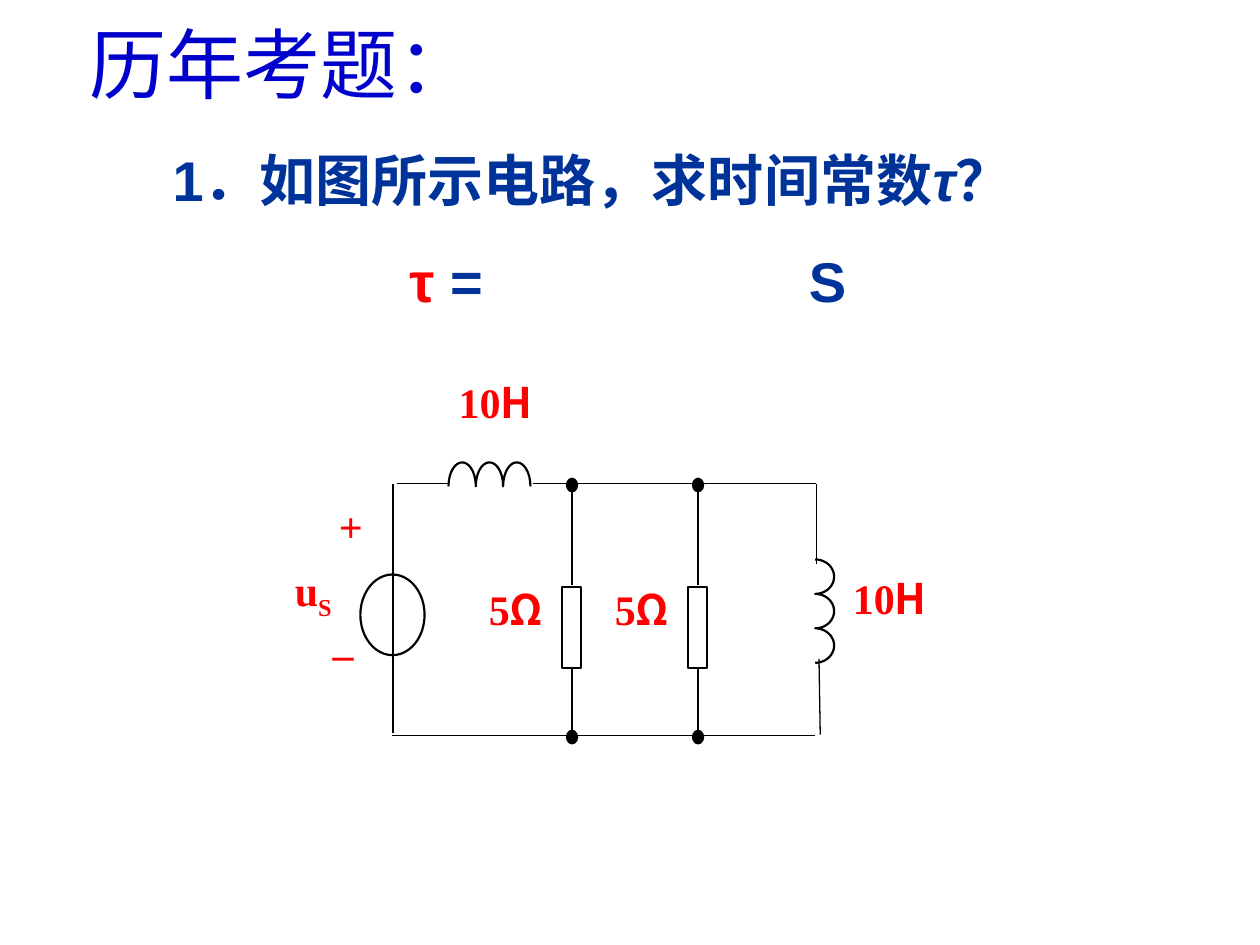
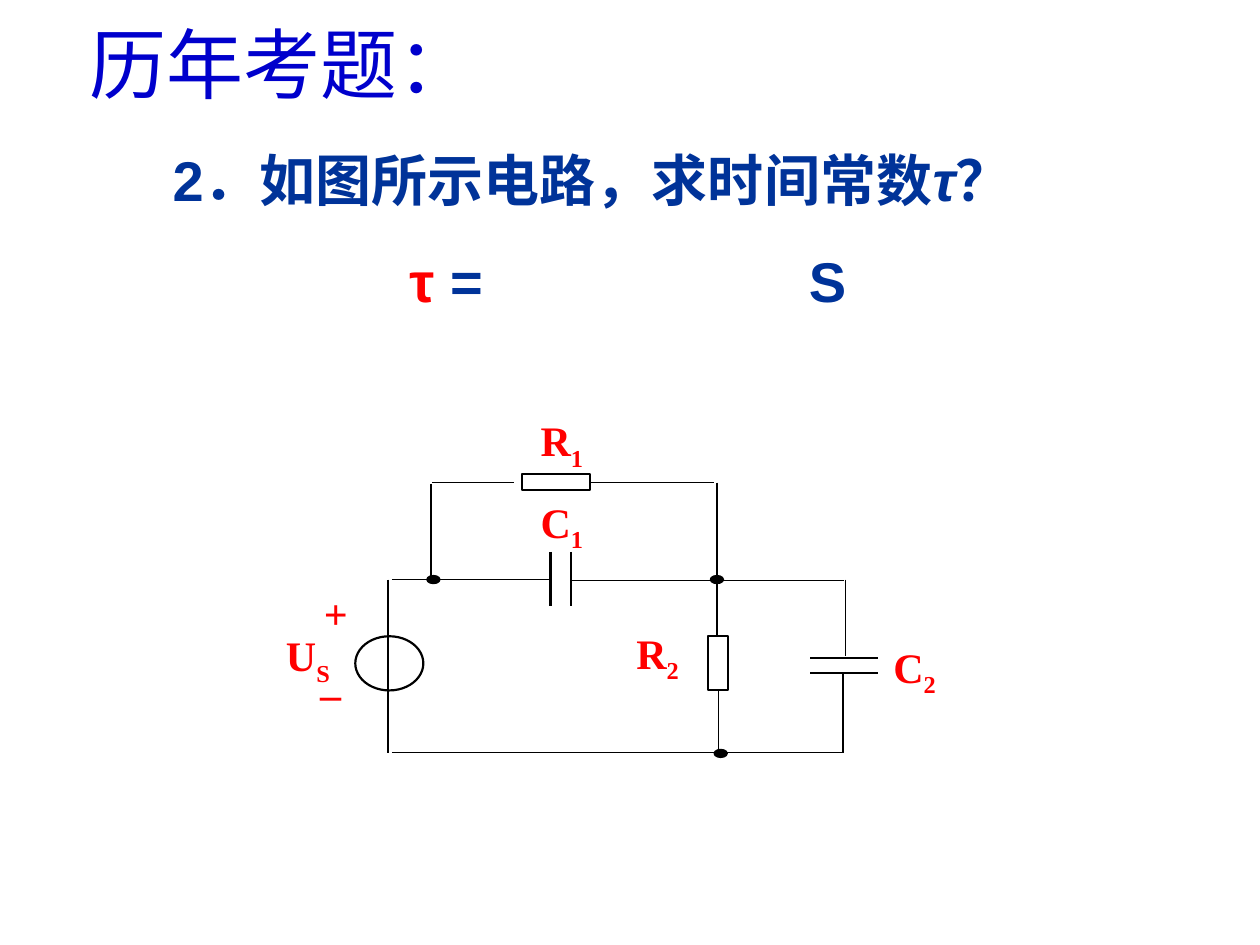
from dataclasses import dataclass
from math import cos, pi, sin

from lxml.etree import SubElement
from pptx import Presentation
from pptx.dml.color import RGBColor
from pptx.enum.shapes import MSO_CONNECTOR, MSO_SHAPE
from pptx.enum.text import MSO_ANCHOR
from pptx.oxml.ns import qn
from pptx.util import Inches, Pt


@dataclass(frozen=True)
class Theme:
    heading: str = "0000CC"
    question: str = "003399"
    accent: str = "FF0000"
    ink: str = "000000"
    sans: str = "Arial"
    serif: str = "Times New Roman"
    chinese: str = "Noto Sans CJK SC"
    heading_size: int = 44
    question_size: int = 32
    label_size: int = 24
    wire: float = 0.75
    outline: float = 1.25


THEME = Theme()


# Text
def add_span(para, text, size, color, font=THEME.sans, bold=True, italic=False,
             underline=False, subscript=False):
    span = para.add_run()
    span.text = text
    span.font.size = Pt(size)
    span.font.name = font
    span.font.bold = bold
    span.font.italic = italic
    span.font.underline = underline
    span.font.color.rgb = RGBColor.from_string(color)
    properties = span._r.get_or_add_rPr()
    SubElement(properties, qn("a:ea"), typeface=THEME.chinese)
    if subscript:
        properties.set("baseline", "-25000")


def add_text(page, at, lines, margins=(0, 0), wrap=True, anchor=MSO_ANCHOR.TOP,
             spacing=None, tabs=(), **style):
    """Each line is a list of (text, format changes) pairs."""
    box = page.shapes.add_textbox(*map(Inches, at))
    frame = box.text_frame
    frame.word_wrap = wrap
    frame.vertical_anchor = anchor
    frame.margin_left = frame.margin_right = Inches(margins[0])
    frame.margin_top = frame.margin_bottom = Inches(margins[1])
    for index, line in enumerate(lines):
        para = frame.add_paragraph() if index else frame.paragraphs[0]
        if spacing:
            para.line_spacing = spacing
        if tabs:
            stops = SubElement(para._p.get_or_add_pPr(), qn("a:tabLst"))
            for stop in tabs:
                SubElement(stops, qn("a:tab"), pos=str(Inches(stop)), algn="l")
        for text, changes in line:
            add_span(para, text, **{**style, **changes})


def add_label(page, left, top, text, subscript="", unit=""):
    line = [(text, {})]
    if subscript:
        line.append((subscript, {"subscript": True}))
    if unit:
        line.append((unit, {"font": THEME.chinese}))
    add_text(page, (left, top, 0.66, 0.5), [line], size=THEME.label_size,
             color=THEME.accent, font=THEME.serif)


# Circuit elements
def set_outline(shape, width):
    shape.line.color.rgb = RGBColor.from_string(THEME.ink)
    shape.line.width = Pt(width)


def add_wire(page, start, end, width=THEME.wire):
    wire = page.shapes.add_connector(MSO_CONNECTOR.STRAIGHT,
                                     *map(Inches, (*start, *end)))
    set_outline(wire, width)
    SubElement(wire._element.spPr, qn("a:effectLst"))


def add_part(page, kind, at, filled=False, width=THEME.outline):
    part = page.shapes.add_shape(kind, *map(Inches, at))
    part.shadow.inherit = False
    set_outline(part, width)
    if filled:
        part.fill.solid()
        part.fill.fore_color.rgb = RGBColor.from_string(THEME.ink)
    else:
        part.fill.background()


def add_resistor(page, *at):
    add_part(page, MSO_SHAPE.RECTANGLE, at)


def add_source(page, *at):
    add_part(page, MSO_SHAPE.OVAL, at)


def add_node(page, left, top, width, height, outline=THEME.outline):
    add_part(page, MSO_SHAPE.FLOWCHART_CONNECTOR, (left, top, width, height),
             filled=True, width=outline)


def add_coil(page, left, top, length, depth, vertical=False, turns=3, steps=24):
    """Draw half-ellipse turns, bulging up or, if vertical, to the right."""
    radius = length / turns / 2
    points = []
    for turn in range(turns):
        for step in range(steps + 1):
            angle = pi * step / steps
            along = radius * (2 * turn + 1 - cos(angle))
            bulge = depth * sin(angle)
            x, y = (bulge, along) if vertical else (along, depth - bulge)
            points.append((Inches(left + x), Inches(top + y)))
    builder = page.shapes.build_freeform(*points[0])
    builder.add_line_segments(points[1:], close=False)
    coil = builder.convert_to_shape()
    coil.shadow.inherit = False
    coil.fill.background()
    set_outline(coil, THEME.outline)


# Heading and question shared by the slides
def add_question_page(deck, number):
    page = deck.slides.add_slide(deck.slide_layouts[6])
    question = [(f"{number}．如图所示电路，求时间常数", {}),
                ("τ", {"italic": True}), ("？", {})]
    answer = [("\tτ ", {"color": THEME.accent}), ("=\t", {}),
              ("\t", {"underline": True}), ("\tS", {})]
    add_text(page, (1.37, 1.44, 8.4, 0.5), [question, answer], spacing=1.5,
             anchor=MSO_ANCHOR.MIDDLE, tabs=(1.88, 2.71, 4.81, 5.05),
             size=THEME.question_size, color=THEME.question)
    add_text(page, (0.61, 0.08, 3.26, 0.84), [[("历年考题：", {})]],
             margins=(0.1, 0.05), wrap=False, bold=False,
             size=THEME.heading_size, color=THEME.heading)
    return page


def draw_inductor_circuit(page):
    top, bottom, right = 3.84, 5.84, 6.48

    # Source
    add_wire(page, (3.12, top), (3.12, 5.82))
    add_source(page, 2.86, 4.56, 0.51, 0.64)
    add_label(page, 2.69, 3.97, "+")
    add_label(page, 2.64, 4.98, "–")
    add_label(page, 2.34, 4.48, "u", subscript="S")

    # Outer wires
    add_wire(page, (3.15, top), (3.56, top))
    add_wire(page, (4.23, top), (right, top))
    add_wire(page, (3.11, bottom), (6.47, bottom))
    add_wire(page, (right, top), (right, 4.48))
    add_wire(page, (6.5, 5.23), (6.51, 5.83))

    # Inductors
    add_coil(page, 3.56, 3.67, 0.65, 0.19)
    add_label(page, 3.64, 2.99, "10", unit="H")
    add_coil(page, 6.47, 4.44, 0.82, 0.15, vertical=True)
    add_label(page, 6.77, 4.54, "10", unit="H")

    # Parallel resistors
    for x in (4.54, 5.54):
        add_resistor(page, x - 0.08, 4.66, 0.15, 0.64)
        add_wire(page, (x, top), (x, 4.64))
        add_wire(page, (x, 5.29), (x, bottom))
        add_label(page, x - 0.66, 4.63, "5", unit="Ω")
        for y in (top, bottom):
            add_node(page, x - 0.04, y - 0.04, 0.08, 0.1)


def draw_capacitor_circuit(page):
    top, middle, bottom = 3.83, 4.6, 5.97

    # Source
    add_source(page, 2.82, 5.05, 0.54, 0.43)
    add_wire(page, (3.08, middle), (3.08, 5.98))
    add_label(page, 2.57, 4.66, "+")
    add_label(page, 2.54, 5.3, "–")
    add_label(page, 2.27, 5, "U", subscript="S")

    # R1 branch
    add_wire(page, (3.42, 3.84), (3.42, 4.61))
    add_wire(page, (3.43, top), (4.08, top))
    add_resistor(page, 4.14, 3.76, 0.54, 0.13)
    add_wire(page, (4.69, top), (5.67, top))
    add_label(page, 4.29, 3.29, "R", subscript="1")

    # C1 branch
    add_wire(page, (3.11, middle), (4.36, middle))
    for x in (4.37, 4.53):
        add_wire(page, (x, 4.38), (x, 4.81), THEME.outline)
    add_wire(page, (4.53, 4.61), (6.7, 4.61))
    add_label(page, 4.29, 3.94, "C", subscript="1")

    # R2 branch
    add_wire(page, (5.69, top), (5.69, 5.04))
    add_resistor(page, 5.62, 5.05, 0.16, 0.43)
    add_wire(page, (5.7, 5.48), (5.7, 6))
    add_label(page, 5.05, 4.98, "R", subscript="2")

    # C2 branch
    add_wire(page, (6.71, middle), (6.71, 5.21))
    for y in (5.22, 5.34):
        add_wire(page, (6.43, y), (6.97, y), THEME.outline)
    add_wire(page, (6.69, 5.34), (6.69, 5.98))
    add_wire(page, (3.11, bottom), (6.7, bottom))
    add_label(page, 7.09, 5.09, "C", subscript="2")

    # Junctions
    for left, y in ((3.39, 4.57), (5.64, 4.57), (5.67, 5.95)):
        add_node(page, left, y, 0.1, 0.06, outline=1)


def main():
    deck = Presentation()
    deck.slide_width, deck.slide_height = Inches(10), Inches(7.5)
    circuits = (draw_inductor_circuit, draw_capacitor_circuit)
    for number, draw_circuit in enumerate(circuits, start=1):
        draw_circuit(add_question_page(deck, number))
    deck.save("out.pptx")


if __name__ == "__main__":
    main()
